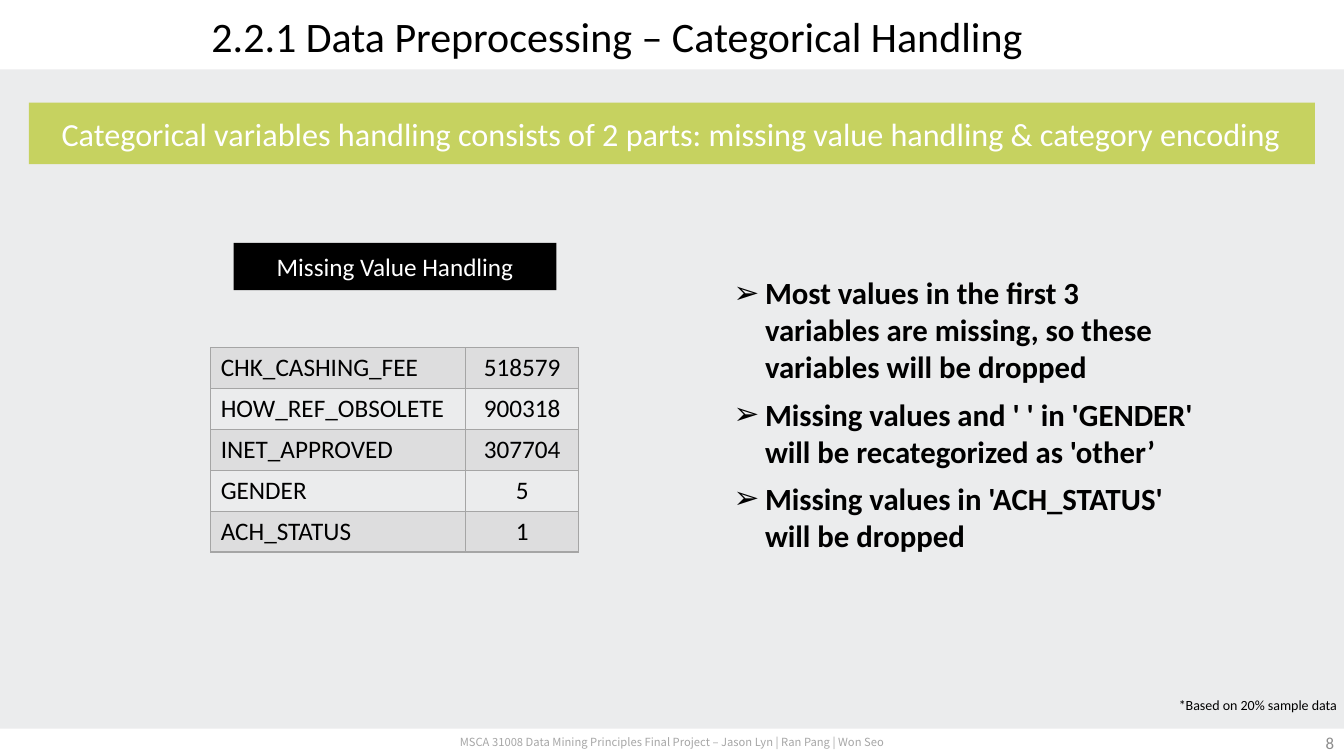
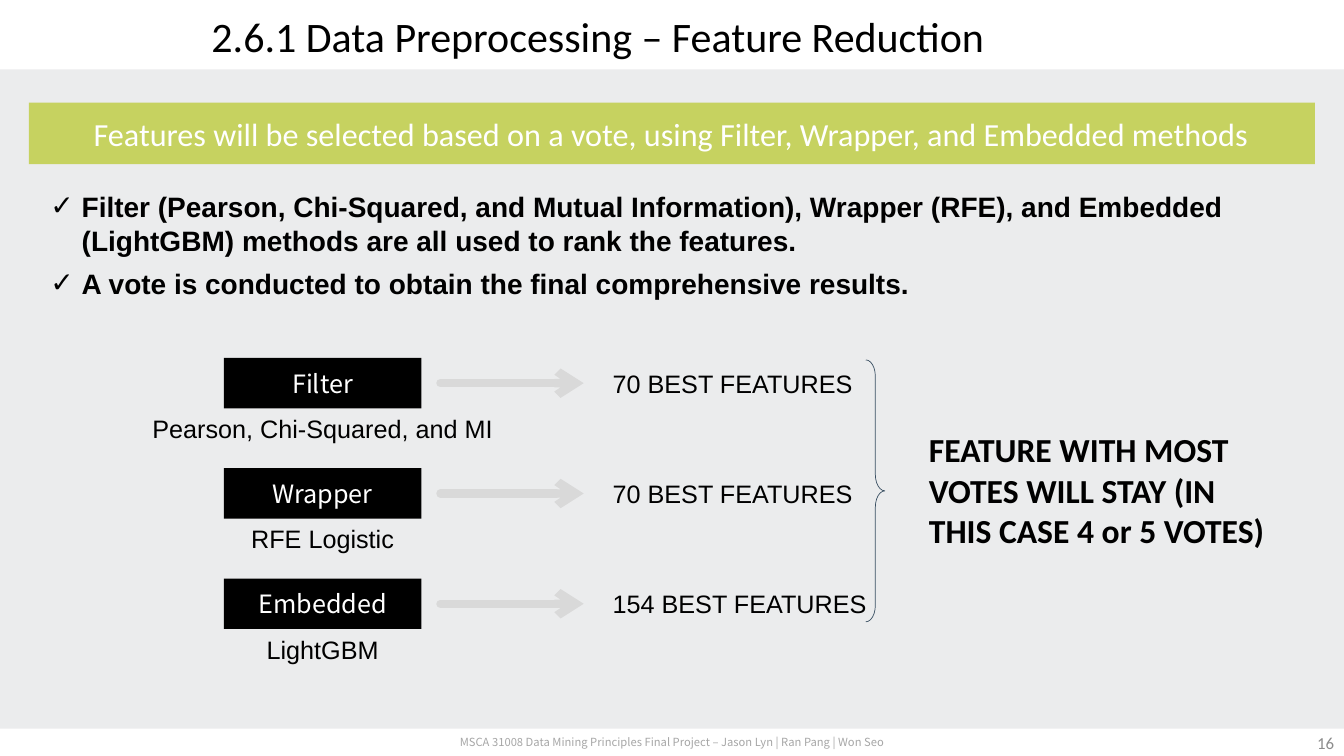
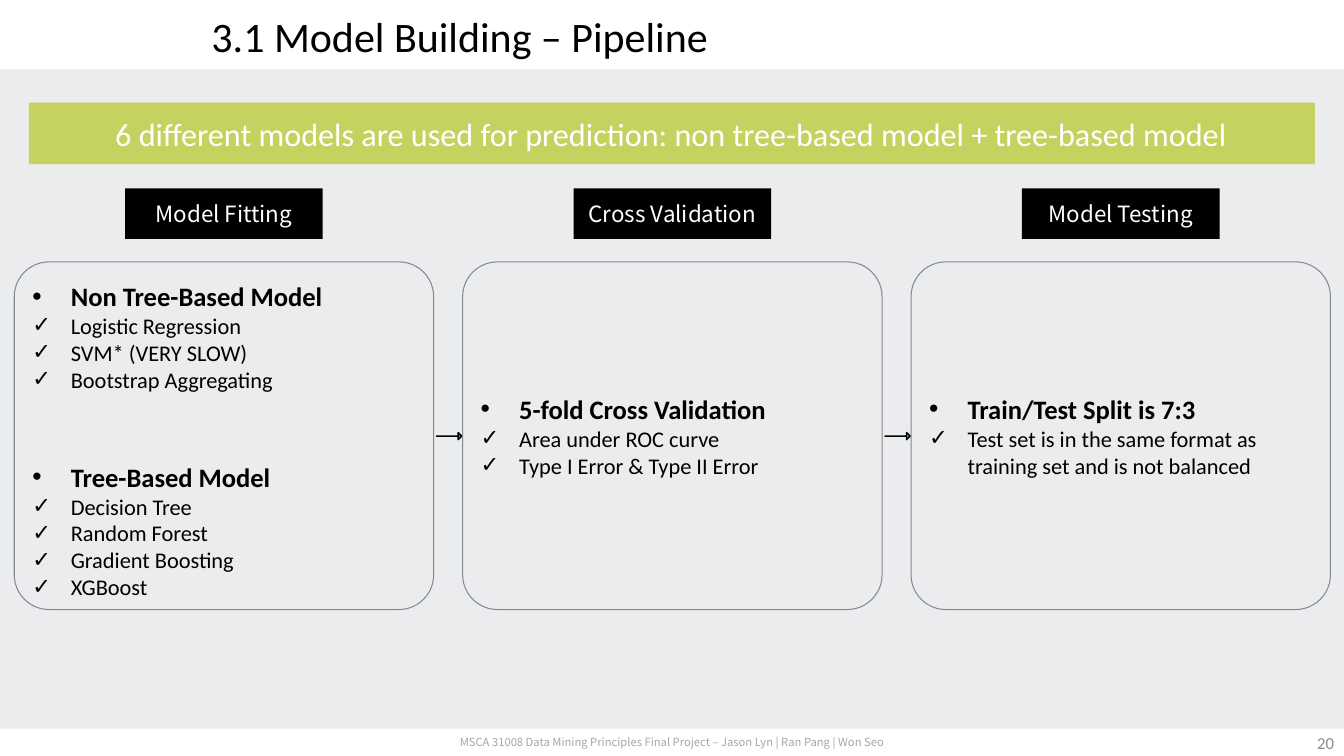
from lxml import etree
from pptx import Presentation
from pptx.dml.color import RGBColor
from pptx.enum.shapes import MSO_CONNECTOR, MSO_SHAPE as SHAPE
from pptx.enum.text import MSO_ANCHOR as ANCHOR, PP_ALIGN as ALIGN
from pptx.oxml.ns import qn
from pptx.util import Cm, Pt

# Shared look
SLIDE_W, SLIDE_H = 33.87, 19.05
BACKGROUND, WHITE, BLACK = "EBECED", "FFFFFF", "000000"
ACCENT, GREY, PALE = "C6D260", "A5A5A5", "D9D9D9"
BODY, PLAIN, LABEL = "Calibri", "Arial", "Noto Sans CJK SC"
FOOTER = "MSCA 31008 Data Mining Principles Final Project – Jason Lyn | Ran Pang | Won Seo"
LABEL_W, LABEL_H = 4.98, 1.27

# Content
CATEGORICAL = {
    "title": "2.2.1 Data Preprocessing – Categorical Handling",
    "banner": "Categorical variables handling consists of 2 parts: "
              "missing value handling & category encoding",
    "page": 8,
}
MISSING = [
    ("CHK_CASHING_FEE", "518579"),
    ("HOW_REF_OBSOLETE", "900318"),
    ("INET_APPROVED", "307704"),
    ("GENDER", "5"),
    ("ACH_STATUS", "1"),
]
DECISIONS = [
    "Most values in the first 3 variables are missing, so these variables will be dropped",
    "Missing values and ' ' in 'GENDER' will be recategorized as 'other’",
    "Missing values in 'ACH_STATUS' will be dropped",
]

REDUCTION = {
    "title": "2.6.1 Data Preprocessing – Feature Reduction",
    "banner": "Features will be selected based on a vote, "
              "using Filter, Wrapper, and Embedded methods",
    "page": 16,
}
APPROACH = [
    "Filter (Pearson, Chi-Squared, and Mutual Information), Wrapper (RFE), "
    "and Embedded (LightGBM) methods are all used to rank the features.",
    "A vote is conducted to obtain the final comprehensive results.",
]
METHODS = [
    ("Filter", "Pearson, Chi-Squared, and MI", "70 BEST FEATURES"),
    ("Wrapper", "RFE Logistic", "70 BEST FEATURES"),
    ("Embedded", "LightGBM", "154 BEST FEATURES"),
]
VERDICT = "FEATURE WITH MOST VOTES WILL STAY (IN THIS CASE 4 or 5 VOTES)"

PIPELINE = {
    "title": "3.1 Model Building – Pipeline",
    "banner": "6 different models are used for prediction: "
              "non tree-based model + tree-based model",
    "page": 20,
}
STAGES = [
    ("Model Fitting", ANCHOR.TOP, [
        ("Non Tree-Based Model",
         ["Logistic Regression", "SVM* (VERY SLOW)", "Bootstrap Aggregating"]),
        ("Tree-Based Model",
         ["Decision Tree", "Random Forest", "Gradient Boosting", "XGBoost"]),
    ]),
    ("Cross Validation", ANCHOR.MIDDLE, [
        ("5-fold Cross Validation",
         ["Area under ROC curve", "Type I Error & Type II Error"]),
    ]),
    ("Model Testing", ANCHOR.MIDDLE, [
        ("Train/Test Split is 7:3",
         ["Test set is in the same format as training set and is not balanced"]),
    ]),
]


# Helpers
def rgb(value):
    return RGBColor.from_string(value)


def format_text(p, size, font=BODY, color=BLACK, bold=False, align=ALIGN.LEFT):
    p.alignment = align
    for r in p.runs:
        f = r.font
        f.size, f.name, f.bold = Pt(size), font, bold
        f.color.rgb = rgb(color)


def add_bullet(p, char, indent):
    pPr = p._p.get_or_add_pPr()
    pPr.set("marL", str(Cm(indent)))
    pPr.set("indent", str(-Cm(indent)))
    etree.SubElement(pPr, qn("a:buFont")).set("typeface", "Arial")
    etree.SubElement(pPr, qn("a:buChar")).set("char", char)


def set_frame(sp, anchor=ANCHOR.TOP, inset=None, wrap=True):
    tf = sp.text_frame
    tf.word_wrap, tf.vertical_anchor = wrap, anchor
    if inset is not None:
        tf.margin_left = tf.margin_right = Cm(inset)
        tf.margin_top = tf.margin_bottom = Cm(inset)
    return tf


def add_text(s, box, text, size, anchor=ANCHOR.TOP, inset=None, wrap=True, **style):
    sp = s.shapes.add_textbox(*map(Cm, box))
    tf = set_frame(sp, anchor, inset, wrap)
    tf.text = text
    format_text(tf.paragraphs[0], size, **style)
    return tf


def add_box(s, kind, box, fill=None, line=None, width=0.75):
    sp = s.shapes.add_shape(kind, *map(Cm, box))
    sp.shadow.inherit = False
    if fill:
        sp.fill.solid()
        sp.fill.fore_color.rgb = rgb(fill)
    else:
        sp.fill.background()
    if line:
        sp.line.color.rgb = rgb(line)
        sp.line.width = Pt(width)
    else:
        sp.line.fill.background()
    return sp


def add_label(s, box, text, size, fill=BLACK, font=LABEL, inset=0):
    tf = set_frame(add_box(s, SHAPE.RECTANGLE, box, fill), ANCHOR.MIDDLE, inset)
    tf.text = text
    format_text(tf.paragraphs[0], size, font, WHITE, align=ALIGN.CENTER)


def add_list(tf, items, char, indent, gap, size, **style):
    tf.text = "\n".join(items)
    for i, p in enumerate(tf.paragraphs):
        format_text(p, size, bold=True, **style)
        if i:
            p.space_before = Pt(gap)
        add_bullet(p, char, indent)


def add_arrow(s, x1, x2, y):
    line = s.shapes.add_connector(MSO_CONNECTOR.STRAIGHT, Cm(x1), Cm(y), Cm(x2), Cm(y))
    line.line.color.rgb = rgb(PALE)
    line.line.width = Pt(6)
    ln = line.line._get_or_add_ln()
    ln.set("cap", "rnd")
    etree.SubElement(ln, qn("a:tailEnd")).set("type", "arrow")
    etree.SubElement(line._element.spPr, qn("a:effectLst"))


def style_cell(cell, shaded):
    tcPr = cell._tc.get_or_add_tcPr()
    for side in ("lnL", "lnR", "lnT", "lnB"):
        ln = etree.SubElement(tcPr, qn(f"a:{side}"), w=str(Pt(1)))
        fill = etree.SubElement(ln, qn("a:solidFill"))
        etree.SubElement(fill, qn("a:srgbClr"), val=GREY)
    if not shaded:
        cell.fill.background()
        return
    cell.fill.solid()
    cell.fill.fore_color.rgb = rgb(GREY)
    color = tcPr.find(qn("a:solidFill")).find(qn("a:srgbClr"))
    etree.SubElement(color, qn("a:alpha"), val="20000")


def new_slide(prs, content):
    s = prs.slides.add_slide(prs.slide_layouts[6])
    # Bands and footer
    add_box(s, SHAPE.RECTANGLE, (0, 0, SLIDE_W, 1.75), WHITE)
    add_box(s, SHAPE.RECTANGLE, (0, 18.36, SLIDE_W, 0.69), WHITE)
    add_text(s, (8.69, 18.36, 16.51, 0.69), FOOTER, 8, ANCHOR.MIDDLE, 0.18,
             font=LABEL, color="A6A6A6", align=ALIGN.CENTER)
    add_text(s, (26.25, 18.21, 7.62, 1.02), str(content["page"]), 12, ANCHOR.MIDDLE,
             color="8C8C8C", align=ALIGN.RIGHT)
    # Title and banner
    tf = add_text(s, (0, 0, SLIDE_W, 1.78), content["title"], 30, ANCHOR.MIDDLE)
    tf.margin_left = Cm(5.33)
    add_label(s, (0.73, 2.59, 32.41, 1.55), content["banner"], 23, ACCENT, BODY, 0.13)
    return s


# Slides
def categorical_slide(prs):
    s = new_slide(prs, CATEGORICAL)
    add_label(s, (5.89, 6.12, 8.13, 1.19), "Missing Value Handling", 18, font=BODY)

    # Missing counts
    widths, row_h = (6.43, 2.84), 1.03
    frame = s.shapes.add_table(len(MISSING), len(widths), Cm(5.31), Cm(8.76),
                               Cm(sum(widths)), Cm(row_h * len(MISSING)))
    table = frame.table
    table.first_row = table.horz_banding = False
    for col, width in zip(table.columns, widths):
        col.width = Cm(width)
    for i, values in enumerate(MISSING):
        table.rows[i].height = Cm(row_h)
        for j, value in enumerate(values):
            cell = table.cell(i, j)
            cell.text = value
            format_text(cell.text_frame.paragraphs[0], 18,
                        align=ALIGN.CENTER if j else ALIGN.LEFT)
            style_cell(cell, shaded=i % 2 == 0)

    # Decisions
    sp = s.shapes.add_textbox(Cm(18.31), Cm(6.73), Cm(12.09), Cm(7.44))
    add_list(set_frame(sp, inset=0.18), DECISIONS, "➢", 0.79, 7.3, 22)
    add_text(s, (0, 17.37, SLIDE_W, 0.76), "*Based on 20% sample data", 10,
             inset=0.18, align=ALIGN.RIGHT)


def reduction_slide(prs):
    s = new_slide(prs, REDUCTION)
    sp = s.shapes.add_textbox(Cm(1.02), Cm(4.65), Cm(31.85), Cm(3.07))
    add_list(set_frame(sp), APPROACH, "✓", 0.79, 6.9, 20, font=PLAIN)

    # One row for each method
    left, top, step, caption_w = 5.64, 9.02, 2.78, 9.17
    for i, (name, caption, result) in enumerate(METHODS):
        y = top + i * step
        add_label(s, (left, y, LABEL_W, LABEL_H), name, 18)
        add_arrow(s, 11.1, 14.71, y + LABEL_H / 2)
        add_text(s, (left + (LABEL_W - caption_w) / 2, y + LABEL_H, caption_w, 1.02),
                 caption, 18, font=PLAIN, align=ALIGN.CENTER)
        add_text(s, (15.19, y + 0.13, 6.99, 1.02), result, 18, wrap=False, font=PLAIN)

    # Vote
    brace = add_box(s, SHAPE.RIGHT_BRACE, (21.82, 9.07, 0.48, 6.6), line="3A5063", width=0.5)
    brace.adjustments[0] = 0.86
    add_text(s, (23.16, 10.69, 9.3, 3.33), VERDICT, 24, bold=True)


def pipeline_slide(prs):
    s = new_slide(prs, PIPELINE)
    left, top, width, height, gap = 0.36, 6.6, 10.57, 8.76, 0.73
    for i, (name, anchor, groups) in enumerate(STAGES):
        x = left + i * (width + gap)
        add_label(s, (x + (width - LABEL_W) / 2, 4.75, LABEL_W, LABEL_H), name, 16)

        # Panel with headings and checked items
        panel = add_box(s, SHAPE.ROUNDED_RECTANGLE, (x, top, width, height), line="85888D")
        panel.adjustments[0] = 0.1
        tf = set_frame(panel, anchor, 0.2)
        rows = [row for heading, items in groups
                for row in [(heading, True)] + [(item, False) for item in items]]
        tf.text = "\n".join(text for text, _ in rows)
        for j, (p, (_, heading)) in enumerate(zip(tf.paragraphs, rows)):
            format_text(p, 19 if heading else 16, bold=heading)
            if heading and j:
                p.space_before = Pt(48.8)
            add_bullet(p, "•" if heading else "✓", 0.97)

        # Arrow to the next stage
        if i < len(STAGES) - 1:
            arrow = add_box(s, SHAPE.RIGHT_ARROW, (x + width + 0.07, 10.9, 0.64, 0.18),
                            "3194C6", BLACK, 1)
            arrow.adjustments[0], arrow.adjustments[1] = 0, 0.52


def main():
    prs = Presentation()
    prs.slide_width, prs.slide_height = Cm(SLIDE_W), Cm(SLIDE_H)
    fill = prs.slide_master.background.fill
    fill.solid()
    fill.fore_color.rgb = rgb(BACKGROUND)
    categorical_slide(prs)
    reduction_slide(prs)
    pipeline_slide(prs)
    prs.save("out.pptx")


if __name__ == "__main__":
    main()
